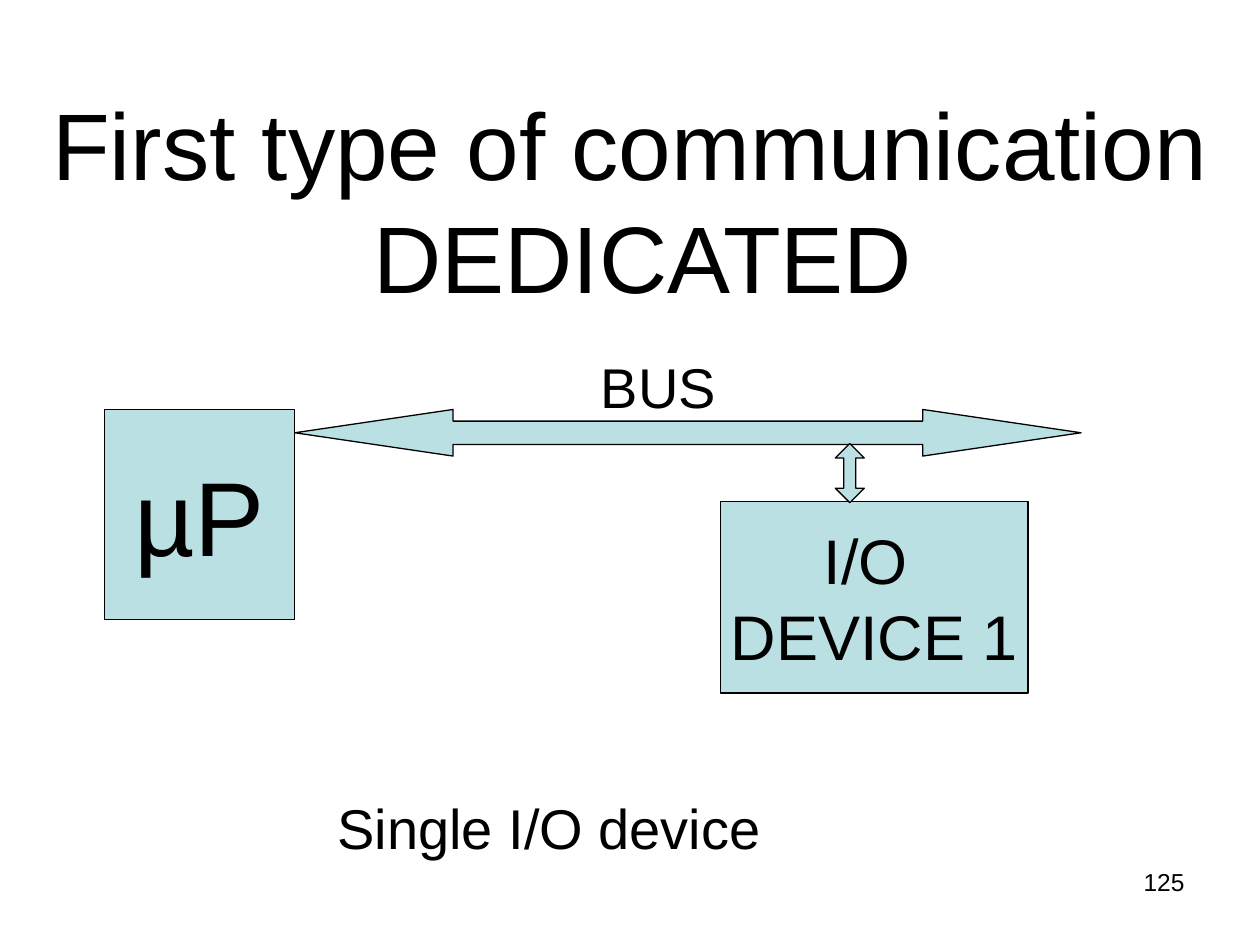
import pptx
import pptx.util
import pptx.dml.color
import pptx.enum.shapes
import pptx.enum.text

Inches, Pt = pptx.util.Inches, pptx.util.Pt
SHAPE = pptx.enum.shapes.MSO_SHAPE
ALIGN = pptx.enum.text.PP_ALIGN
ANCHOR = pptx.enum.text.MSO_ANCHOR

FONT, INK, FILL = "Arial", "000000", "BBE0E3"

# left, top, width, height in inches
TEXTS = [
    ("First type of communication\v DEDICATED", (0, 0.33, 10, 2.5), 54, ALIGN.CENTER, ANCHOR.MIDDLE),
    ("BUS", (4.67, 2.75, 1.33, 0.64), 32, ALIGN.LEFT, ANCHOR.TOP),
    ("Single I/O device", (2.58, 6.25, 3.83, 0.64), 32, ALIGN.LEFT, ANCHOR.TOP),
    ("125", (7.17, 6.83, 2.33, 0.52), 14, ALIGN.RIGHT, ANCHOR.TOP),
]
BLOCKS = [
    ("µP", (0.83, 3.25, 1.51, 1.67), 60),
    ("I/O \nDEVICE 1", (5.72, 3.98, 2.44, 1.52), 36),
]
# shaft thickness and head length as shares of the arrow's short side
ARROWS = [
    (SHAPE.LEFT_RIGHT_ARROW, (2.34, 3.25, 6.24, 0.37), (0.5, 3.395)),
    (SHAPE.UP_DOWN_ARROW, (6.63, 3.52, 0.23, 0.47), (0.5, 0.411)),
]


def color(value):
    return pptx.dml.color.RGBColor.from_string(value)


def write(box, text, size, align, anchor, wrap=True):
    frame = box.text_frame
    frame.text = text
    frame.word_wrap = wrap
    frame.vertical_anchor = anchor
    for paragraph in frame.paragraphs:
        paragraph.alignment = align
        paragraph.font.name = FONT
        paragraph.font.size = Pt(size)
        paragraph.font.color.rgb = color(INK)


def add_outlined(page, kind, place):
    shape = page.shapes.add_shape(kind, *map(Inches, place))
    shape.shadow.inherit = False
    shape.fill.solid()
    shape.fill.fore_color.rgb = color(FILL)
    shape.line.color.rgb = color(INK)
    shape.line.width = Pt(0.75)
    return shape


deck = pptx.Presentation()
deck.slide_width, deck.slide_height = Inches(10), Inches(7.5)
page = deck.slides.add_slide(deck.slide_layouts[6])

for text, place, size in BLOCKS:
    block = add_outlined(page, SHAPE.RECTANGLE, place)
    write(block, text, size, ALIGN.CENTER, ANCHOR.MIDDLE, wrap=False)

for kind, place, shares in ARROWS:
    arrow = add_outlined(page, kind, place)
    for index, share in enumerate(shares):
        arrow.adjustments[index] = share

for text, place, size, align, anchor in TEXTS:
    box = page.shapes.add_textbox(*map(Inches, place))
    write(box, text, size, align, anchor)

deck.save("out.pptx")
